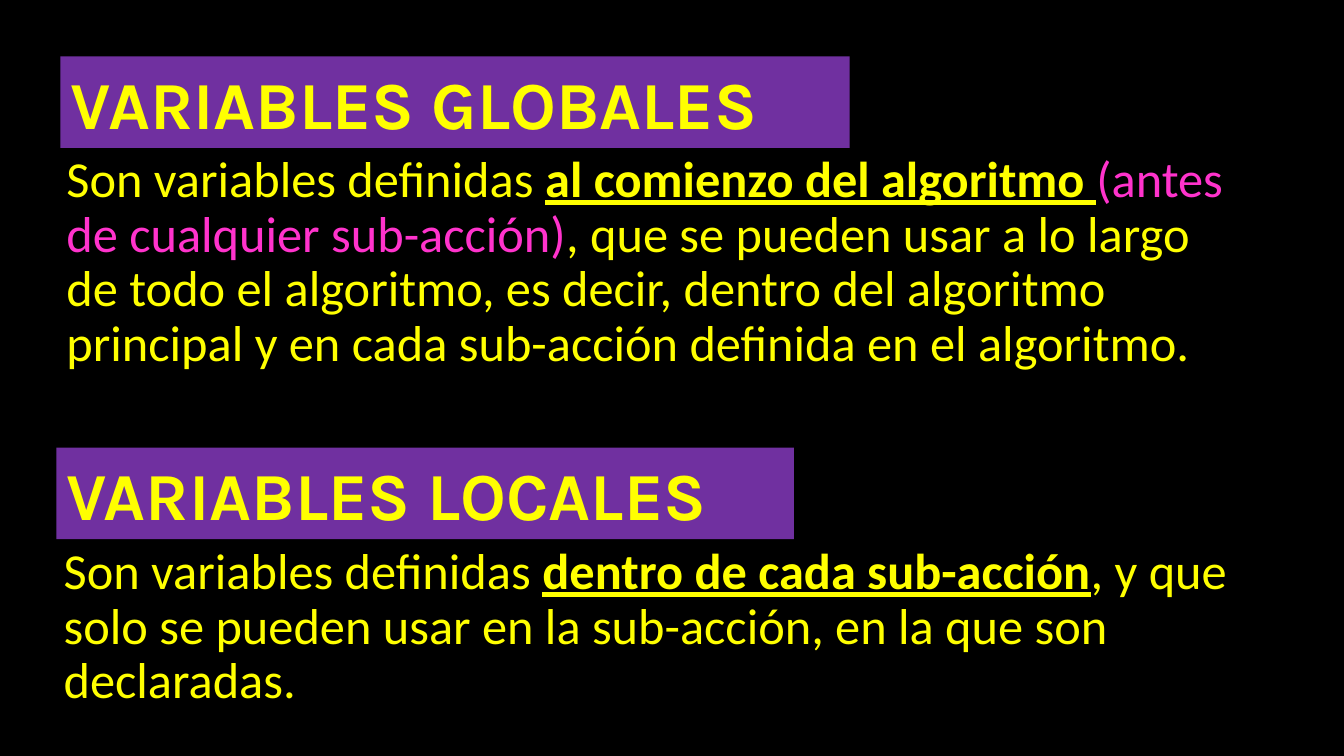
from pptx import Presentation
from pptx.dml.color import RGBColor
from pptx.enum import text
from pptx.util import Cm, Pt

COLORS = {"black": "000000", "purple": "7030A0", "yellow": "FFFF00", "pink": "FF33CC"}


def place(shape, left, top, width, height):
    shape.left, shape.top = Cm(left), Cm(top)
    shape.width, shape.height = Cm(width), Cm(height)
    shape.text_frame.word_wrap = True
    shape.text_frame.auto_size = text.MSO_AUTO_SIZE.NONE


def format_run(run, font_name, size, color, bold, underline=False):
    run.font.name = font_name
    run.font.size = Pt(size)
    run.font.color.rgb = RGBColor.from_string(COLORS[color])
    run.font.bold = bold
    run.font.underline = underline


presentation = Presentation()
presentation.slide_width = Cm(33.87)
presentation.slide_height = Cm(19.05)
slide = presentation.slides.add_slide(presentation.slide_layouts[4])
slide.background.fill.solid()
slide.background.fill.fore_color.rgb = RGBColor.from_string(COLORS["black"])

placeholders = {shape.placeholder_format.idx: shape for shape in slide.placeholders}
for index in (2, 4):
    placeholders[index].element.getparent().remove(placeholders[index].element)
locals_heading = slide.shapes.add_textbox(0, 0, Cm(1), Cm(1))

sections = [
    (slide.shapes.title, "VARIABLES GLOBALES", (1.52, 1.42, 19.89, 2.31),
     placeholders[1], (1.42, 3.76, 30.1, 6.78), [
        ("Son variables definidas ", "yellow", False),
        ("al comienzo del algoritmo ", "yellow", True),
        ("(antes de cualquier sub-acción)", "pink", False),
        (", que se pueden usar a lo largo de todo el algoritmo, es decir, "
         "dentro del algoritmo principal y en cada sub-acción definida "
         "en el algoritmo.", "yellow", False)]),
    (locals_heading, "VARIABLES LOCALES", (1.42, 11.28, 18.59, 2.31),
     placeholders[3], (1.35, 13.64, 30.1, 4.42), [
        ("Son variables definidas ", "yellow", False),
        ("dentro de cada sub-acción", "yellow", True),
        (", y que solo se pueden usar en la sub-acción, en la que son "
         "declaradas.", "yellow", False)]),
]

for heading, title, heading_box, body, body_box, pieces in sections:
    place(heading, *heading_box)
    heading.fill.solid()
    heading.fill.fore_color.rgb = RGBColor.from_string(COLORS["purple"])
    heading.text_frame.text = title
    heading.text_frame.vertical_anchor = text.MSO_ANCHOR.MIDDLE
    paragraph = heading.text_frame.paragraphs[0]
    paragraph.alignment = text.PP_ALIGN.LEFT
    format_run(paragraph.runs[0], "Karla", 48, "yellow", True)

    place(body, *body_box)
    body.text_frame.vertical_anchor = text.MSO_ANCHOR.TOP
    paragraph = body.text_frame.paragraphs[0]
    paragraph.line_spacing = 0.9
    paragraph.space_before = Pt(10)
    for wording, color, emphasis in pieces:
        run = paragraph.add_run()
        run.text = wording
        format_run(run, "Calibri", 36, color, emphasis, emphasis)

presentation.save("out.pptx")
